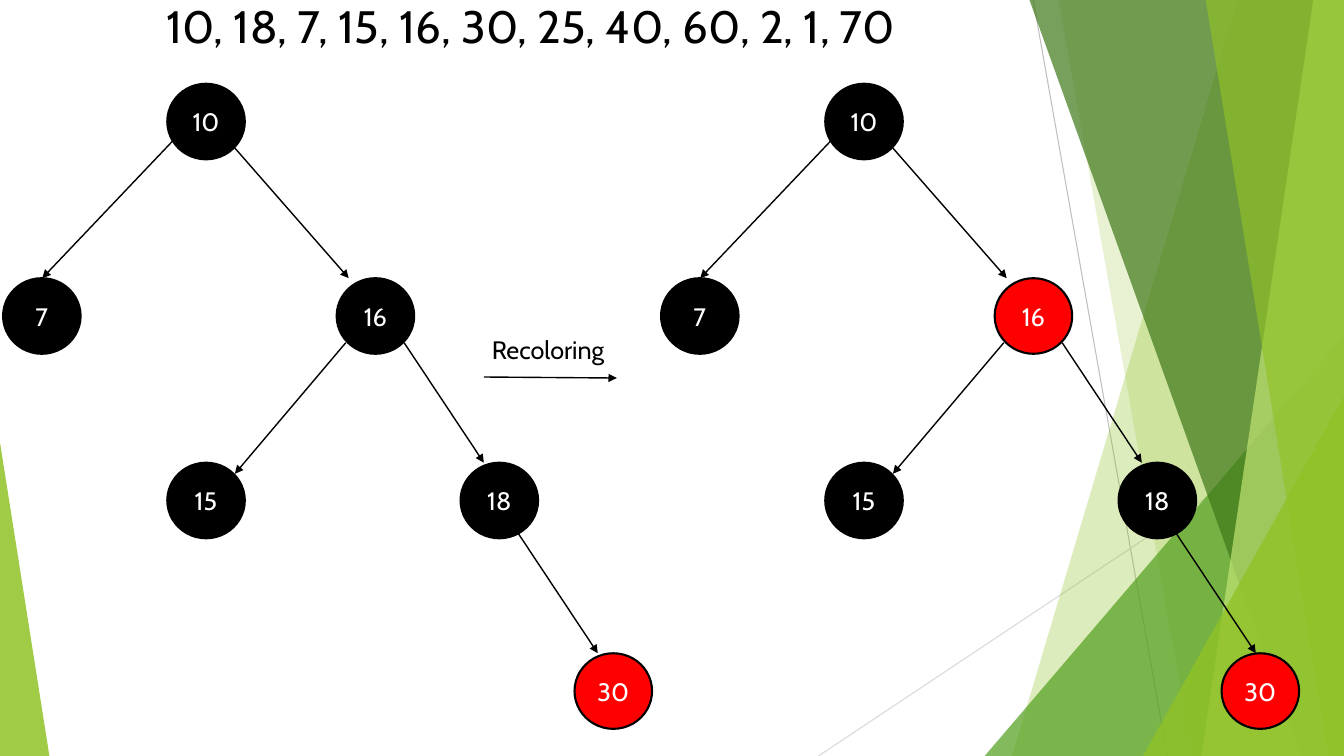
"""Build a slide on recoloring a red-black tree after inserting 30."""
from dataclasses import dataclass

from lxml.etree import SubElement
from pptx import Presentation
from pptx.dml.color import RGBColor
from pptx.dml.fill import FillFormat
from pptx.enum.shapes import MSO_CONNECTOR, MSO_SHAPE
from pptx.enum.text import MSO_ANCHOR, PP_ALIGN
from pptx.oxml.ns import qn
from pptx.shapes.autoshape import Shape
from pptx.slide import Slide
from pptx.text.text import TextFrame
from pptx.util import Pt

WIDTH, HEIGHT = 960, 540
NODE_WIDTH, NODE_HEIGHT = 55.4, 54
TREE_SHIFT = 470
BLACK, RED, WHITE = "000000", "FF0000", "FFFFFF"


@dataclass(frozen=True)
class Node:
    key: str
    left: float
    top: float
    color: str


@dataclass(frozen=True)
class Line:
    x1: float
    y1: float
    x2: float
    y2: float
    color: str = BLACK
    weight: float = 1
    arrow: bool = True


@dataclass(frozen=True)
class Facet:
    top_x: float
    bottom_x: float
    color: str
    opacity: int


@dataclass(frozen=True)
class Triangle:
    left: float
    top: float
    width: float
    apex: float
    color: str
    opacity: int


BACKGROUND_LINES = [
    Line(738, 0, 833.8, HEIGHT, "BFBFBF", 0.75, False),
    Line(WIDTH, 290.2, 584.6, HEIGHT, "D9D9D9", 0.75, False),
]
DECORATION = [
    Facet(884.2, 722.9, "90C226", 30),
    Facet(756, 851.8, "90C226", 20),
    Triangle(703.4, 239.8, 256.6, 1, "54A021", 72),
    Facet(735.1, 929.5, "3F7819", 70),
    Facet(938.2, 858.2, "C0E474", 70),
    Facet(861.1, 949, "90C226", 65),
    Triangle(816.5, 283, 143.5, 1, "90C226", 80),
    Triangle(0, 316.1, 35.3, 0, "90C226", 85),
]
EDGES = [
    Line(167.8, 105.8, 249.1, 198.7),
    Line(124.6, 99.4, 30.2, 198.7),
    Line(247, 244.8, 167.8, 338.4),
    Line(288.7, 244.8, 345.6, 330.5),
    Line(370.1, 380.9, 427, 466.6),
]


def tree_nodes(shift: float, color_of_16: str, left_of_30: float) -> list[Node]:
    """Return the nodes of one tree, moved right by the shift."""
    return [
        Node("10", 119.5 + shift, 59.8, BLACK),
        Node("16", 240.5 + shift, 198.7, color_of_16),
        Node("7", 2.2 + shift, 198.7, BLACK),
        Node("15", 119.5 + shift, 330.5, BLACK),
        Node("18", 329 + shift, 330.5, BLACK),
        Node("30", left_of_30, 466.6, RED),
    ]


def paint(fill: FillFormat, color: str, opacity: int = 100) -> None:
    """Apply a solid hex colour with an opacity in percent."""
    fill.solid()
    fill.fore_color.rgb = RGBColor.from_string(color)
    if opacity < 100:
        color_element = fill._xPr.find(qn("a:solidFill"))[0]
        SubElement(color_element, qn("a:alpha")).set("val", str(opacity * 1000))


def write(frame: TextFrame, text: str, size: float, color: str, align: PP_ALIGN) -> None:
    """Write one run in the first paragraph."""
    para = frame.paragraphs[0]
    para.alignment = align
    span = para.add_run()
    span.text = text
    span.font.size = Pt(size)
    span.font.name = "Cabin"
    paint(span.font.fill, color)


def draw_line(page: Slide, line: Line, shift: float = 0) -> None:
    """Draw a straight line, with an arrowhead where wanted."""
    connector = page.shapes.add_connector(
        MSO_CONNECTOR.STRAIGHT,
        Pt(line.x1 + shift), Pt(line.y1), Pt(line.x2 + shift), Pt(line.y2),
    )
    connector.line.width = Pt(line.weight)
    paint(connector.line.fill, line.color)
    properties = connector._element.spPr
    if line.arrow:
        SubElement(properties.find(qn("a:ln")), qn("a:tailEnd")).set("type", "triangle")
    SubElement(properties, qn("a:effectLst"))


def draw_node(page: Slide, node: Node) -> None:
    """Draw a tree node with its key."""
    shape = page.shapes.add_shape(
        MSO_SHAPE.FLOWCHART_CONNECTOR,
        Pt(node.left), Pt(node.top), Pt(NODE_WIDTH), Pt(NODE_HEIGHT),
    )
    shape.shadow.inherit = False
    paint(shape.fill, node.color)
    paint(shape.line.fill, BLACK)
    shape.line.width = Pt(1.5)
    shape.text_frame.vertical_anchor = MSO_ANCHOR.MIDDLE
    write(shape.text_frame, node.key, 18, WHITE, PP_ALIGN.CENTER)


def facet_shape(page: Slide, facet: Facet) -> Shape:
    """Return a full-height outline that reaches the right edge."""
    builder = page.shapes.build_freeform(Pt(facet.top_x), Pt(-0.7))
    corners = [(WIDTH, -0.7), (WIDTH, HEIGHT), (facet.bottom_x, HEIGHT)]
    builder.add_line_segments([(Pt(x), Pt(y)) for x, y in corners], close=True)
    return builder.convert_to_shape()


def triangle_shape(page: Slide, triangle: Triangle) -> Shape:
    """Return a triangle standing on the bottom edge."""
    shape = page.shapes.add_shape(
        MSO_SHAPE.ISOSCELES_TRIANGLE,
        Pt(triangle.left), Pt(triangle.top),
        Pt(triangle.width), Pt(HEIGHT - triangle.top),
    )
    shape.adjustments[0] = triangle.apex
    return shape


def draw_decoration(page: Slide) -> None:
    """Draw the thin lines and translucent green shapes."""
    for line in BACKGROUND_LINES:
        draw_line(page, line)
    for part in DECORATION:
        build = facet_shape if isinstance(part, Facet) else triangle_shape
        shape = build(page, part)
        shape.shadow.inherit = False
        shape.line.fill.background()
        paint(shape.fill, part.color, part.opacity)


def main() -> None:
    """Build and save the deck."""
    deck = Presentation()
    deck.slide_width, deck.slide_height = Pt(WIDTH), Pt(HEIGHT)
    page = deck.slides.add_slide(deck.slide_layouts[5])
    draw_decoration(page)

    title = page.shapes.title
    title.left, title.top, title.width, title.height = Pt(111.6), Pt(-5), Pt(676.8), Pt(44)
    title.text_frame.vertical_anchor = MSO_ANCHOR.TOP
    write(title.text_frame, "10, 18, 7, 15, 16, 30, 25, 40, 60, 2, 1, 70", 32.4, BLACK, PP_ALIGN.LEFT)

    trees = {0: tree_nodes(0, BLACK, 410.4), TREE_SHIFT: tree_nodes(TREE_SHIFT, RED, 872.6)}
    for shift, nodes in trees.items():
        for edge in EDGES:
            draw_line(page, edge, shift)
        for node in nodes:
            draw_node(page, node)

    draw_line(page, Line(345.6, 269.3, 440.6, 270))
    box = page.shapes.add_textbox(Pt(344.2), Pt(235.4), Pt(131.8), Pt(28.8))
    box.text_frame.word_wrap = True
    write(box.text_frame, "Recoloring", 18, BLACK, PP_ALIGN.LEFT)
    deck.save("out.pptx")


if __name__ == "__main__":
    main()
